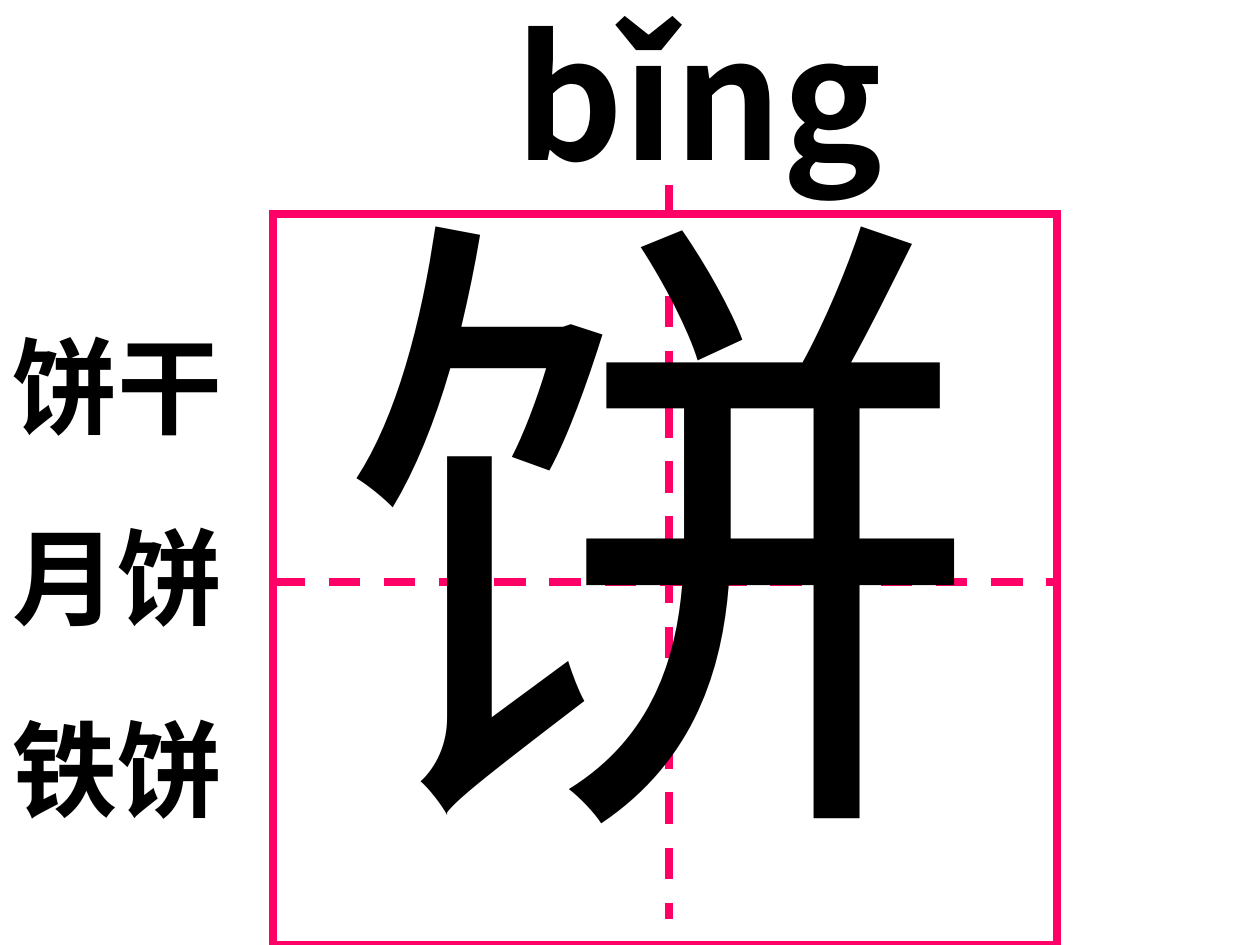
from lxml import etree
from pptx import Presentation, util as u
from pptx.dml.color import RGBColor
from pptx.enum import dml, shapes, text
from pptx.oxml import ns

BLACK = RGBColor(0x00, 0x00, 0x00)
PINK = RGBColor(0xFF, 0x00, 0x66)

presentation = Presentation()
presentation.slide_width, presentation.slide_height = u.Inches(10), u.Inches(7.5)
slide = presentation.slides.add_slide(presentation.slide_layouts[6])


def add_line(start, end, color, width, dash=None):
    line = slide.shapes.add_connector(
        shapes.MSO_CONNECTOR.STRAIGHT, *[u.Inches(n) for n in (*start, *end)])
    line.line.color.rgb = color
    line.line.width = u.Pt(width)
    if dash:
        line.line.dash_style = dash
    etree.SubElement(line._element.spPr, ns.qn("a:effectLst"))


def add_text(box, paragraphs, size, font, asian_font, bold=False, wrap=True, gap=0):
    """Each paragraph is a list of (words, font) runs; None keeps the paragraph font."""
    frame = slide.shapes.add_textbox(*[u.Inches(n) for n in box]).text_frame
    frame.word_wrap = wrap
    frame.auto_size = text.MSO_AUTO_SIZE.SHAPE_TO_FIT_TEXT
    for index, runs in enumerate(paragraphs):
        paragraph = frame.add_paragraph() if index else frame.paragraphs[0]
        if index:
            paragraph.space_before = u.Pt(gap)
        paragraph.font.size = u.Pt(size)
        paragraph.font.bold = bold
        paragraph.font.color.rgb = BLACK
        paragraph.font.name = font
        properties = paragraph._p.pPr.find(ns.qn("a:defRPr"))
        etree.SubElement(properties, ns.qn("a:ea")).set("typeface", asian_font)
        for words, run_font in runs:
            run = paragraph.add_run()
            run.text = words
            if run_font:
                run.font.name = run_font


# Small dot beside the word list
add_line((1.85, 4.46), (1.85, 4.46), BLACK, 0.75)

# Pinyin
add_text((3.99, -0.11, 4.24, 1.7),
         [[("b", None), ("ǐ", "Noto Sans CJK SC"), ("ng", None)]],
         96, "Noto Sans CJK KR", "Noto Sans CJK KR", bold=True)

# Writing square with mitred corners and dashed guides
left, top, width, height = 2.17, 1.7, 6.22, 5.8
square = slide.shapes.add_shape(
    shapes.MSO_SHAPE.RECTANGLE, *[u.Inches(n) for n in (left, top, width, height)])
square.shadow.inherit = False
square.fill.background()
square.line.color.rgb = PINK
square.line.width = u.Pt(4.5)
outline = square._element.spPr.find(ns.qn("a:ln"))
etree.SubElement(outline, ns.qn("a:miter")).set("lim", "800000")
for start, end in [((left, 4.62), (left + width, 4.62)), ((5.31, 1.47), (5.31, 7.29))]:
    add_line(start, end, PINK, 4.5, dml.MSO_LINE.DASH)

# Character
add_text((2.58, 0.92, 5.34, 6.27), [[("饼", None)]],
         370, "Times New Roman", "Arial", wrap=False)

# Words using the character
add_text((0, 2.5, 2.05, 4.14), [[(word, None)] for word in ("饼干", "月饼", "铁饼")],
         60, "Arial", "Arial", bold=True, gap=37.5)

presentation.save("out.pptx")
